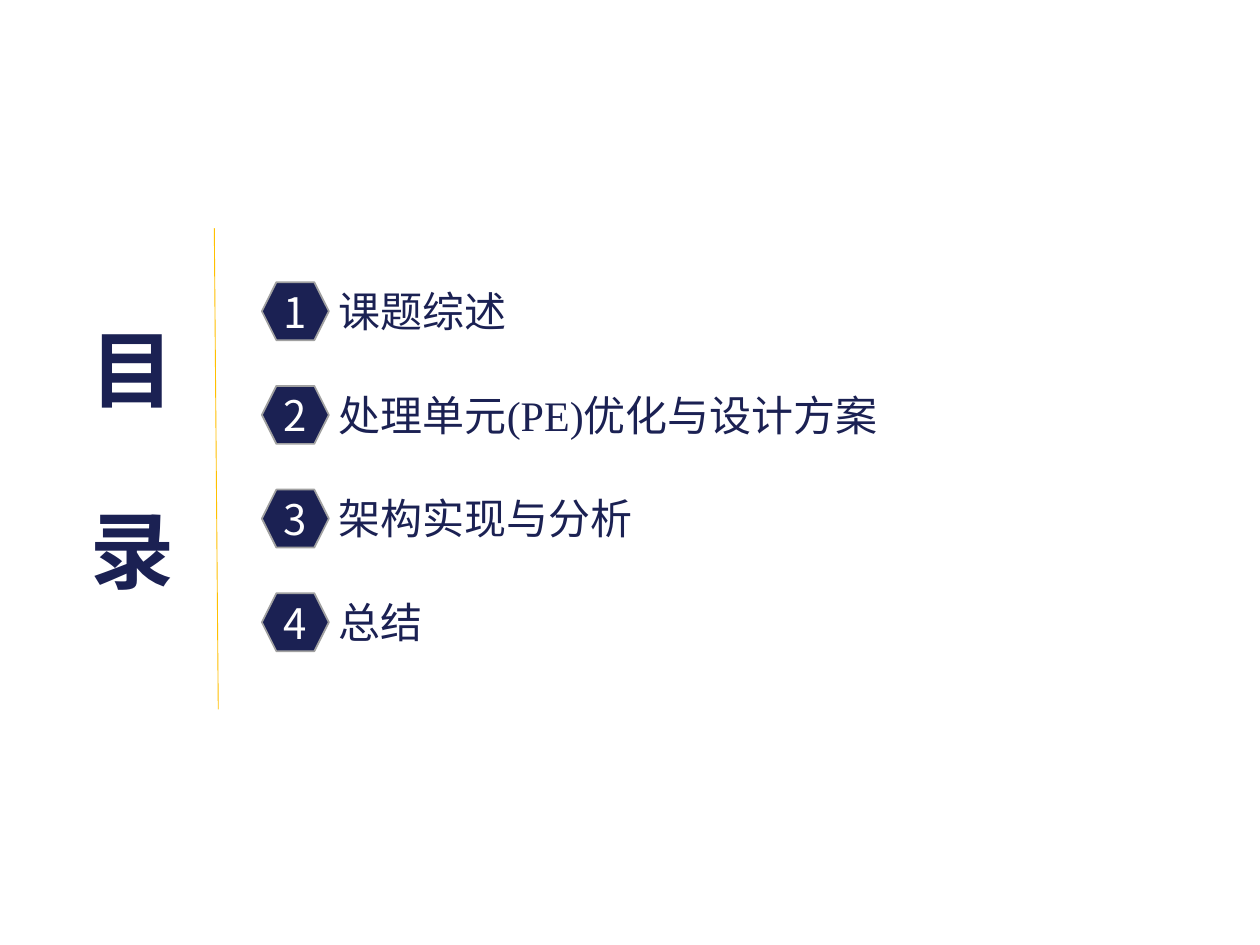
import pptx
import pptx.util
import pptx.dml.color
import pptx.enum.shapes
import pptx.enum.text
import pptx.oxml.ns
import lxml.etree
from dataclasses import dataclass

Cm, Pt = pptx.util.Cm, pptx.util.Pt
RGB = pptx.dml.color.RGBColor.from_string
MSO = pptx.enum.shapes.MSO_SHAPE
ALIGN = pptx.enum.text.PP_ALIGN
ANCHOR = pptx.enum.text.MSO_ANCHOR
FIT = pptx.enum.text.MSO_AUTO_SIZE
qn = pptx.oxml.ns.qn


@dataclass(frozen=True)
class Theme:
    """Hold the colours, type sizes and fonts."""
    navy: str = "1B2153"
    gold: str = "FFC000"
    grey: str = "A1A1A1"
    white: str = "FFFFFF"
    head: int = 48
    body: int = 24
    sans: str = "Noto Sans CJK SC"
    serif: str = "Times New Roman"
    plain: str = "Calibri"


THEME = Theme()
ITEMS = [
    ("课题综述", THEME.plain, 3.94),
    ("处理单元(PE)优化与设计方案", THEME.serif, 11.48),
    ("架构实现与分析", THEME.serif, 6.5),
    ("总结", THEME.plain, 2.24),
]


def apply(obj, form):
    """Set each attribute named in a dict of format values."""
    for name, value in form.items():
        setattr(obj, name, value)


def write(par, text, face, size, tint, bold=False):
    """Add one run of formatted text to a paragraph."""
    run = par.add_run()
    run.text = text
    apply(run.font, {"name": face, "size": Pt(size), "bold": bold})
    run.font.color.rgb = RGB(tint)
    east = lxml.etree.SubElement(run.font._element, qn("a:ea"))
    east.set("typeface", THEME.sans)


def add_head(slide, left, top, width, height):
    """Set the stacked title in its box."""
    title = slide.shapes.title
    apply(title, {"left": Cm(left), "top": Cm(top),
                  "width": Cm(width), "height": Cm(height)})
    frame = title.text_frame
    apply(frame, {"word_wrap": True, "auto_size": FIT.NONE,
                  "vertical_anchor": ANCHOR.TOP})
    for par, text, gap in ((frame.paragraphs[0], "目", 0),
                           (frame.add_paragraph(), "录", 46)):
        apply(par, {"alignment": ALIGN.LEFT, "line_spacing": 1.0,
                    "space_before": Pt(gap)})
        write(par, text, THEME.sans, THEME.head, THEME.navy, True)


def add_rule(slide, left, top, width, height):
    """Draw the thin gold rule across its box."""
    rule = slide.shapes.add_connector(
        pptx.enum.shapes.MSO_CONNECTOR.STRAIGHT,
        Cm(left), Cm(top), Cm(left + width), Cm(top + height))
    rule.line.color.rgb = RGB(THEME.gold)
    rule.line.width = Pt(0.5)
    lxml.etree.SubElement(rule._element.spPr, qn("a:effectLst"))


def add_badge(slide, left, top, width, height, text):
    """Draw a numbered hexagon."""
    badge = slide.shapes.add_shape(
        MSO.HEXAGON, Cm(left), Cm(top), Cm(width), Cm(height))
    badge.shadow.inherit = False
    badge.adjustments[0] = 0.25
    badge.fill.solid()
    badge.fill.fore_color.rgb = RGB(THEME.navy)
    badge.line.color.rgb = RGB(THEME.grey)
    badge.line.width = Pt(1)
    frame = badge.text_frame
    apply(frame, {"margin_left": 0, "margin_right": 0, "margin_top": 0,
                  "margin_bottom": 0, "vertical_anchor": ANCHOR.MIDDLE})
    par = frame.paragraphs[0]
    par.alignment = ALIGN.CENTER
    write(par, text, THEME.sans, THEME.body, THEME.white)


def add_list(slide, left, top, pitch):
    """Place the numbered topics at an equal pitch."""
    for row, (text, face, width) in enumerate(ITEMS):
        y = top + row * pitch
        add_badge(slide, left, y, 1.35, 1.17, str(row + 1))
        label = slide.shapes.add_textbox(
            Cm(left + 1.3), Cm(y - 0.06), Cm(width), Cm(1.28))
        label.text_frame.word_wrap = True
        write(label.text_frame.paragraphs[0], text, face,
              THEME.body, THEME.navy)


def main():
    """Build the contents slide and save it."""
    deck = pptx.Presentation()
    apply(deck, {"slide_width": Cm(25.4), "slide_height": Cm(19.05)})
    slide = deck.slides.add_slide(deck.slide_layouts[5])
    add_head(slide, 1.57, 6.27, 2.34, 6.4)
    add_rule(slide, 4.32, 4.6, 0.08, 9.7)
    add_list(slide, 5.28, 5.69, 2.09)
    deck.save("out.pptx")


if __name__ == "__main__":
    main()
